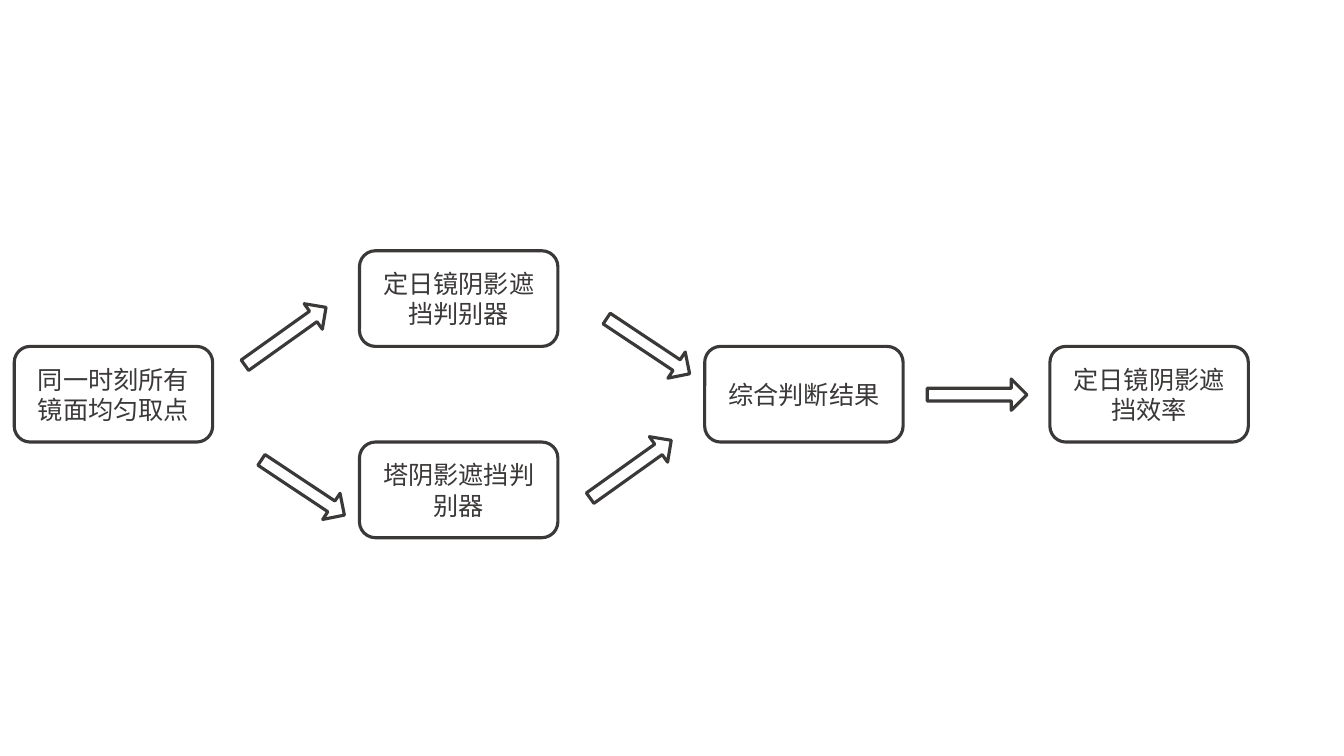
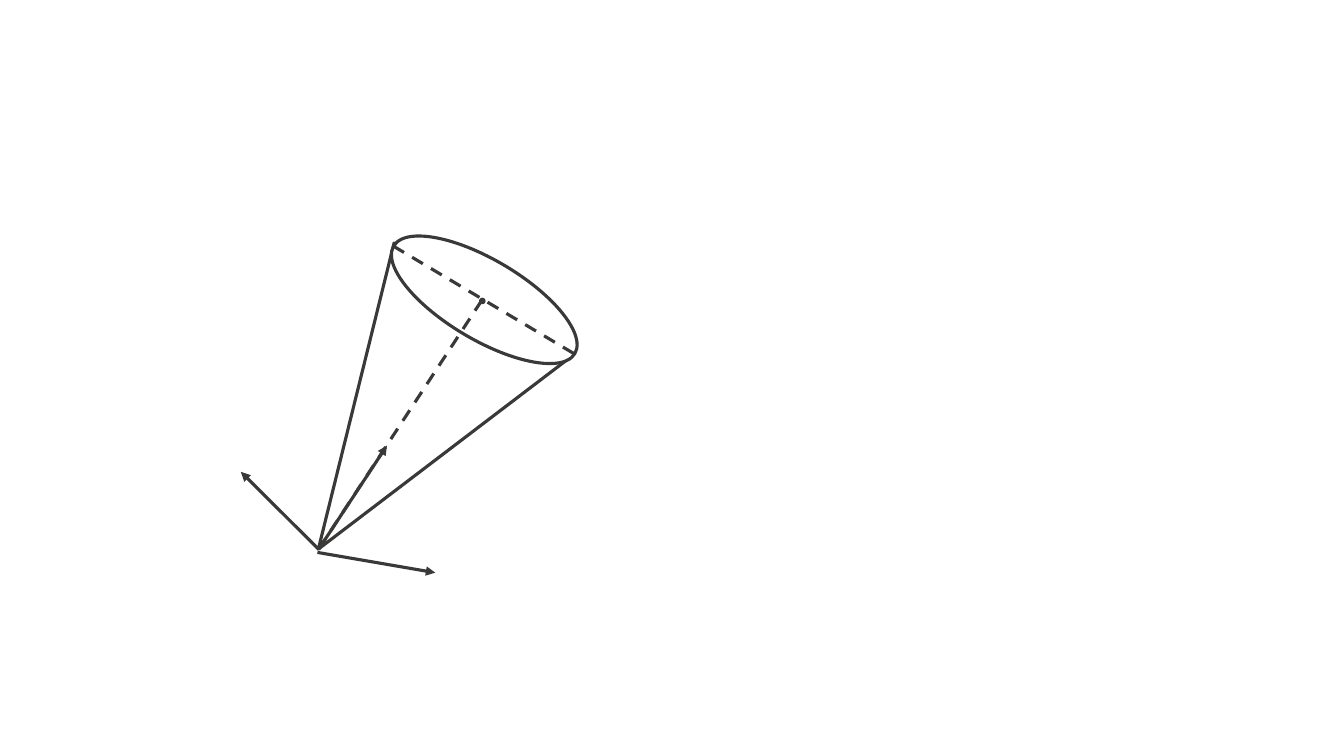
from lxml.etree import SubElement
from pptx import Presentation
from pptx.dml.color import RGBColor
from pptx.enum.dml import MSO_LINE
from pptx.enum.shapes import MSO_CONNECTOR, MSO_SHAPE
from pptx.enum.text import MSO_ANCHOR, PP_ALIGN
from pptx.oxml.ns import qn
from pptx.util import Cm, Pt

ROUNDED = MSO_SHAPE.ROUNDED_RECTANGLE
ARROW = MSO_SHAPE.RIGHT_ARROW
TRIANGLE = MSO_SHAPE.ISOSCELES_TRIANGLE
ELLIPSE = MSO_SHAPE.OVAL
STRAIGHT = MSO_CONNECTOR.STRAIGHT
DASH = MSO_LINE.DASH
CENTER = PP_ALIGN.CENTER
MIDDLE = MSO_ANCHOR.MIDDLE

INK = "3B3838"
WHITE = "FFFFFF"
FONT = "Noto Sans CJK SC"
BLANK_LAYOUT = 6

STEP_SIZE = (5, 2.41)
COLUMN_PITCH = 8.7
ROW_PITCH = 2.41
STEPS = [
    (1, 0, "定日镜阴影遮挡判别器"),
    (0, 1, "同一时刻所有镜面均匀取点"),
    (1, 2, "塔阴影遮挡判别器"),
    (2, 1, "综合判断结果"),
    (3, 1, "定日镜阴影遮挡效率"),
]
ARROW_SIZE = (2.51, 0.79)
RISING, LEVEL, FALLING = (5.58, 324.5), (5.61, 0), (6.02, 33.6)
FLOWS = [
    (0, 1.76, RISING),
    (2, 3.23, LEVEL),
    (1, 5.11, RISING),
    (0, 5.57, FALLING),
    (1, 2.01, FALLING),
]


def color(hex_code):
    """Turn a hex string into a colour."""
    return RGBColor.from_string(hex_code)


def add_outline(slide, kind, left, top, size, fill=None, rotation=0, weight=2.25):
    """Add an outlined preset shape, measured in centimetres."""
    shape = slide.shapes.add_shape(kind, Cm(left), Cm(top), *map(Cm, size))
    shape.shadow.inherit = False
    shape.rotation = rotation
    shape.line.color.rgb = color(INK)
    shape.line.width = Pt(weight)
    if fill:
        shape.fill.solid()
        shape.fill.fore_color.rgb = color(fill)
    else:
        shape.fill.background()
    return shape


def write_label(shape, text):
    """Write a centred label inside a shape."""
    frame = shape.text_frame
    frame.word_wrap = True
    frame.vertical_anchor = MIDDLE
    label = frame.paragraphs[0]
    label.text = text
    label.alignment = CENTER
    label.font.size = Pt(18)
    label.font.color.rgb = color(INK)
    label.font.name = FONT
    defaults = label._p.find(".//" + qn("a:defRPr"))
    SubElement(defaults, qn("a:ea"), typeface=FONT)


def add_line(slide, start, end, dashed=False, arrow=False):
    """Add a straight line between two points in centimetres."""
    line = slide.shapes.add_connector(STRAIGHT, *map(Cm, (*start, *end)))
    line.line.color.rgb = color(INK)
    line.line.width = Pt(2.25)
    if dashed:
        line.line.dash_style = DASH
    if arrow:
        SubElement(line.line._get_or_add_ln(), qn("a:tailEnd"), type="triangle")
    SubElement(line._element.spPr, qn("a:effectLst"))


def draw_flowchart(slide, left, top):
    """Draw the shading decision flow from its top left corner."""
    for column, row, text in STEPS:
        step = add_outline(slide, ROUNDED, left + column * COLUMN_PITCH,
                           top + row * ROW_PITCH, STEP_SIZE)
        write_label(step, text)
    for column, drop, (offset, angle) in FLOWS:
        flow = add_outline(slide, ARROW, left + column * COLUMN_PITCH + offset,
                           top + drop, ARROW_SIZE, rotation=angle)
        flow.adjustments[0] = 0.41
        flow.adjustments[1] = 0.5


def draw_light_cone(slide, left, top):
    """Draw the cone of light and its axes from its top left corner."""
    def at(x, y):
        """Shift a point into the drawing."""
        return left + x, top + y

    apex, centre = at(2.03, 7.84), at(6.14, 1.57)
    add_outline(slide, TRIANGLE, *at(1.44, 0.96), (5.28, 7.49), rotation=213.3)
    add_line(slide, apex, at(3.75, 5.23), arrow=True)
    add_line(slide, at(2, 7.92), at(4.97, 8.43), arrow=True)
    add_line(slide, apex, at(0.07, 5.89), arrow=True)
    add_outline(slide, ELLIPSE, *at(3.55, 0.55), (5.31, 2.01), WHITE, 30.7)
    add_line(slide, at(3.91, 0.2), at(8.48, 2.92), dashed=True)
    add_line(slide, apex, centre, dashed=True)
    add_outline(slide, ELLIPSE, *at(6.09, 1.52), (0.13, 0.13), INK, weight=1)


def main():
    """Build and save the presentation."""
    deck = Presentation()
    deck.slide_width, deck.slide_height = Cm(33.87), Cm(19.05)
    blank = deck.slide_layouts[BLANK_LAYOUT]
    draw_flowchart(deck.slides.add_slide(blank), 0.36, 6.32)
    draw_light_cone(deck.slides.add_slide(blank), 6, 6)
    deck.save("out.pptx")


if __name__ == "__main__":
    main()
